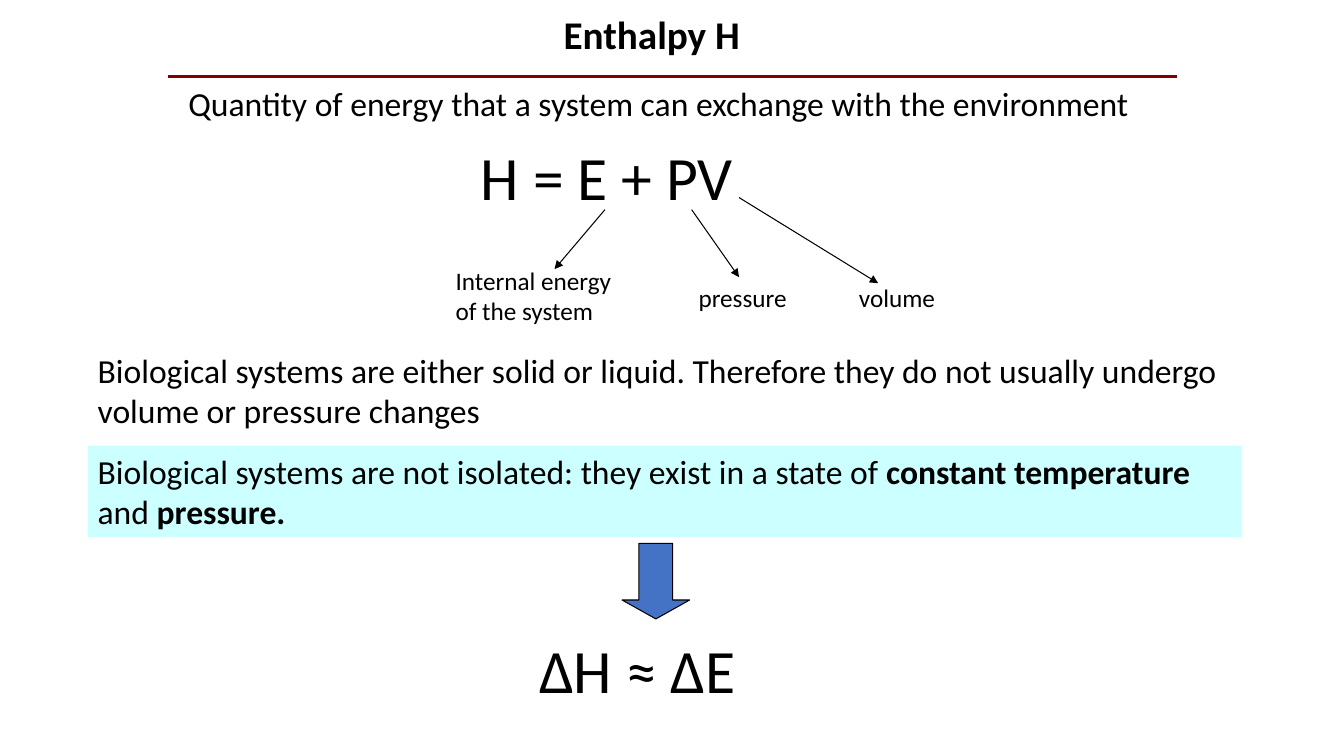
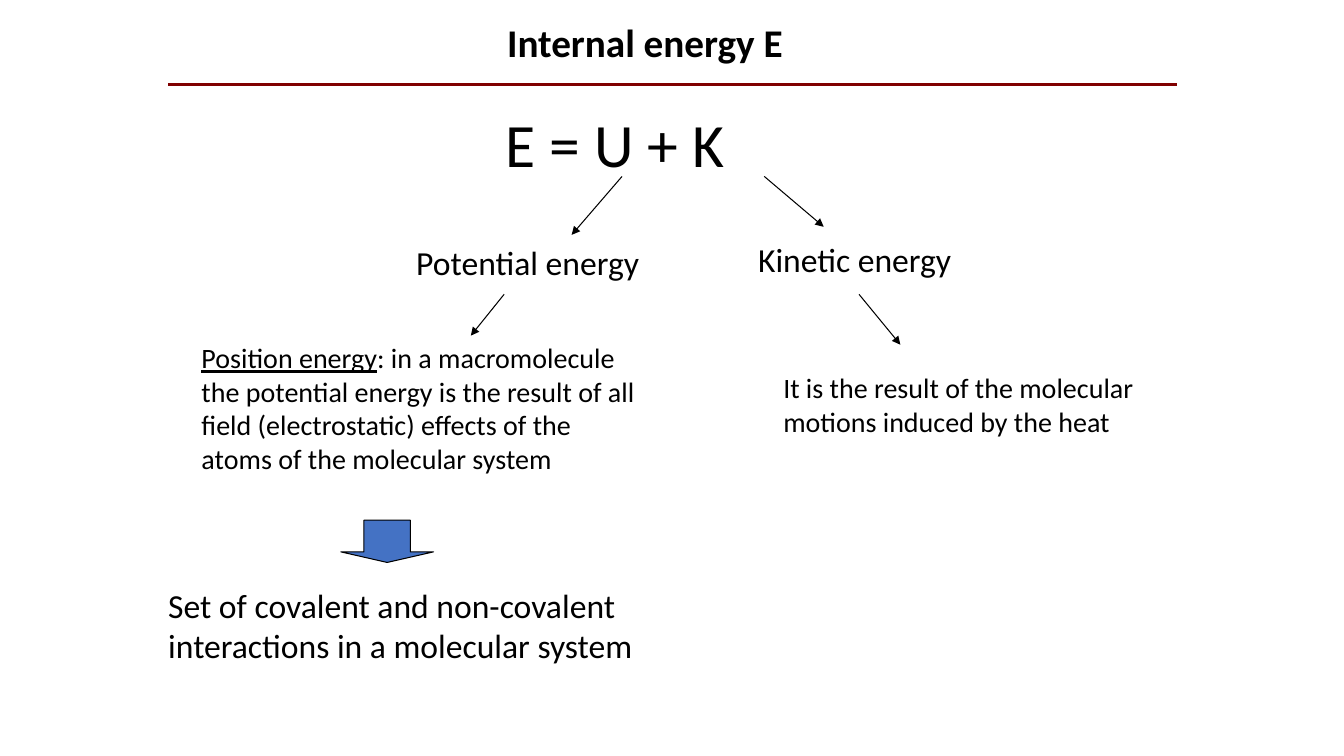
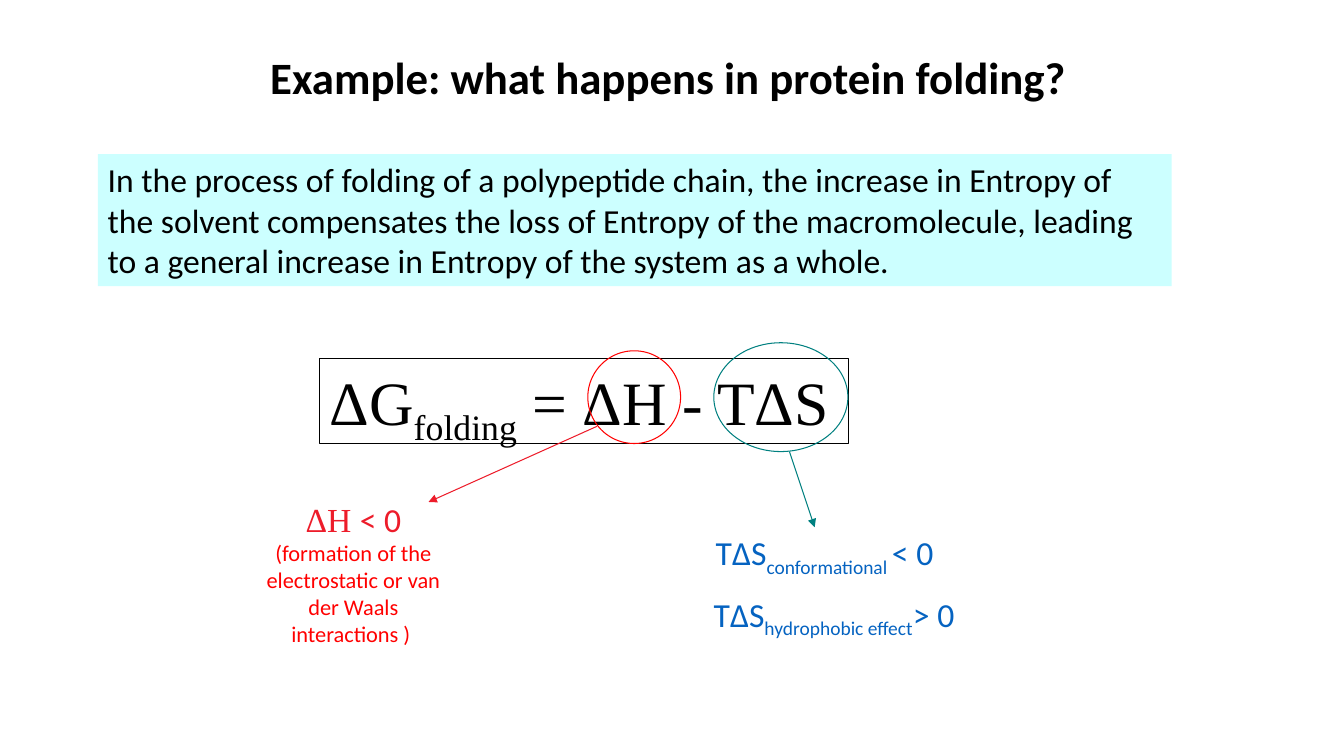
from lxml import etree
from pptx import Presentation
from pptx import util as u
from pptx.dml.color import RGBColor
from pptx.enum import shapes, text
from pptx.oxml import ns

BLACK, MAROON, BLUE, CYAN = "000000", "800000", "4472C4", "CCFFFF"
RED, CRIMSON, TEAL, LINK = "FF0000", "ED1C2A", "008080", "0563C1"
SANS, SERIF = "Calibri", "Times New Roman"
RULE_LEFT, RULE_RIGHT, RULE_DROP = 1.67, 11.67, 0.71
THIN = 0.75

BOLD, UNDERLINED, SUBSCRIPT = {"bold": True}, {"underline": True}, {"subscript": True}

SLIDES = [
    {
        "title": ("Enthalpy H", (5.49, 0.05, 2.08, 0.57), 28),
        "rule": True,
        "texts": [
            (["H = E + PV"], (4.67, 1.33, 2.8, 0.84), {"size": 44, "wrap": False}),
            (["Internal energy", "of the system"], (4.42, 2.58, 2.12, 0.71), {"size": 18}),
            (["pressure"], (6.83, 2.75, 1.09, 0.4), {"size": 18, "wrap": False}),
            (["volume"], (8.42, 2.75, 0.98, 0.4), {"size": 18, "wrap": False}),
            (["Biological systems are either solid or liquid. Therefore they do not usually "
              "undergo volume or pressure changes"], (0.87, 3.42, 11.69, 0.91), {}),
            (["ΔH ≈ ΔE"], (5.25, 6.22, 2.27, 0.84), {"size": 44, "wrap": False}),
            (["Quantity of energy that a system can exchange with the environment"],
             (1.77, 0.77, 9.8, 0.5), {"wrap": False}),
            ([[("Biological systems are not isolated: they exist in a state of", {}),
               (" constant temperature ", BOLD), ("and", {}), (" pressure.", BOLD)]],
             (0.87, 4.42, 11.45, 0.91), {"fill": CYAN}),
        ],
        "arrows": [
            ((6, 2.08), (5.5, 2.67), BLACK),
            ((6.86, 2.08), (7.33, 2.75), BLACK),
            ((7.33, 1.96), (8.71, 2.81), BLACK),
        ],
        "block_arrow": ((6.17, 5.39, 0.67, 0.75), 0.28),
    },
    {
        "title": ("Internal energy E", (4.93, 0.13, 3.09, 0.57), 28),
        "rule": True,
        "texts": [
            (["E = U + K"], (4.92, 1, 2.43, 0.84), {"size": 44, "wrap": False}),
            (["Potential energy"], (4.03, 2.35, 2.92, 0.5), {}),
            (["Kinetic energy"], (7.42, 2.32, 2.21, 0.5), {"wrap": False}),
            ([[("Position energy", UNDERLINED),
               (": in a macromolecule the potential energy is the result of all field "
                "(electrostatic) effects of the atoms of the molecular system", {})]],
             (1.9, 3.33, 4.52, 1.45), {"size": 20}),
            (["It is the result of the molecular motions induced by the heat"],
             (7.67, 3.63, 3.69, 0.77), {"size": 20}),
            (["Set of covalent and non-covalent interactions in a molecular system"],
             (1.57, 5.75, 4.91, 0.91), {}),
        ],
        "arrows": [
            ((6.17, 1.75), (5.67, 2.33), BLACK),
            ((7.58, 1.75), (8.17, 2.25), BLACK),
            ((5, 2.92), (4.67, 3.33), BLACK),
            ((8.52, 2.92), (8.93, 3.42), BLACK),
        ],
        "block_arrow": ((3.38, 5.16, 0.92, 0.42), 0.25),
    },
    {
        "title": ("Example: what happens in protein folding?", (2.58, 0.44, 8.16, 0.64), 32),
        "texts": [
            (["In the process of folding of a polypeptide chain, the increase in Entropy of the "
              "solvent compensates the loss of Entropy of the macromolecule, leading to a general "
              "increase in Entropy of the system as a whole."],
             (0.97, 1.53, 10.65, 1.31), {"fill": CYAN}),
            ([[("ΔG", {}), ("folding", SUBSCRIPT), (" = ΔH - TΔS", {})]],
             (3.17, 3.56, 5.25, 0.84),
             {"size": 44, "font": SERIF, "line": BLACK, "wrap": False}),
            ([[("ΔH ", {"font": SERIF}), ("< 0", {})],
              [("(formation of the electrostatic or van der Waals interactions ) ",
                {"size": 16, "color": RED})]],
             (2.42, 4.9, 2.17, 1.58), {"color": CRIMSON, "align": text.PP_ALIGN.CENTER}),
            ([[("TΔS", {}), ("conformational ", SUBSCRIPT), ("< 0", {})]],
             (7, 5.23, 2.58, 0.5), {"color": LINK, "wrap": False}),
            ([[("TΔS", {}), ("hydrophobic effect", SUBSCRIPT), ("> 0", {})]],
             (6.98, 5.84, 2.85, 0.5), {"color": LINK, "wrap": False}),
        ],
        "ellipses": [((5.83, 3.48, 0.92, 0.92), RED), ((7.08, 3.4, 1.33, 1.08), TEAL)],
        "arrows": [
            ((5.92, 4.23), (4.25, 4.98), CRIMSON),
            ((7.83, 4.48), (8.08, 5.23), TEAL),
        ],
    },
]


def rgb(value):
    return RGBColor.from_string(value)


def inches(values):
    return [u.Inches(value) for value in values]


def format_span(span, size=24, font=SANS, color=BLACK, bold=False, underline=False,
                subscript=False):
    span.font.size = u.Pt(size)
    span.font.name = font
    span.font.color.rgb = rgb(color)
    span.font.bold = bold
    span.font.underline = underline
    if subscript:
        span._r.get_or_add_rPr().set("baseline", "-25000")


def write(box, paragraphs, wrap=True, align=text.PP_ALIGN.LEFT, **style):
    frame = box.text_frame
    frame.word_wrap = wrap
    frame.auto_size = text.MSO_AUTO_SIZE.NONE
    frame.vertical_anchor = text.MSO_ANCHOR.TOP
    for index, content in enumerate(paragraphs):
        para = frame.paragraphs[0] if index == 0 else frame.add_paragraph()
        para.alignment = align
        spans = [(content, {})] if isinstance(content, str) else content
        for words, change in spans:
            span = para.add_run()
            span.text = words
            format_span(span, **{**style, **change})


def add_shape(page, kind, place, fill=None, line=None):
    shape = page.shapes.add_shape(kind, *inches(place))
    shape.shadow.inherit = False
    if fill:
        shape.fill.solid()
        shape.fill.fore_color.rgb = rgb(fill)
    else:
        shape.fill.background()
    if line:
        shape.line.color.rgb = rgb(line)
        shape.line.width = u.Pt(THIN)
    else:
        shape.line.fill.background()
    return shape


def add_text(page, paragraphs, place, fill=None, line=None, **style):
    if fill or line:
        box = add_shape(page, shapes.MSO_SHAPE.RECTANGLE, place, fill, line)
    else:
        box = page.shapes.add_textbox(*inches(place))
    write(box, paragraphs, **style)


def add_line(page, start, end, color, width=THIN, arrow=True):
    line = page.shapes.add_connector(shapes.MSO_CONNECTOR.STRAIGHT, *inches(start + end))
    line.line.color.rgb = rgb(color)
    line.line.width = u.Pt(width)
    if arrow:
        etree.SubElement(line.line._get_or_add_ln(), ns.qn("a:tailEnd"), type="triangle")
    etree.SubElement(line._element.spPr, ns.qn("a:effectLst"))


def add_title(page, words, place, size):
    title = page.shapes.title
    title.left, title.top, title.width, title.height = inches(place)
    write(title, [words], wrap=False, size=size, bold=True)


def build(deck, content):
    page = deck.slides.add_slide(deck.slide_layouts[5])
    add_title(page, *content["title"])
    if content.get("rule"):
        height = content["title"][1][1] + RULE_DROP
        add_line(page, (RULE_LEFT, height), (RULE_RIGHT, height), MAROON, width=2, arrow=False)
    for paragraphs, place, style in content["texts"]:
        add_text(page, paragraphs, place, **style)
    for place, color in content.get("ellipses", []):
        add_shape(page, shapes.MSO_SHAPE.OVAL, place, line=color)
    for start, end, color in content["arrows"]:
        add_line(page, start, end, color)
    if "block_arrow" in content:
        place, head = content["block_arrow"]
        arrow = add_shape(page, shapes.MSO_SHAPE.DOWN_ARROW, place, BLUE, BLACK)
        arrow.adjustments[1] = head


def main():
    deck = Presentation()
    deck.slide_width, deck.slide_height = inches((13.33, 7.5))
    for content in SLIDES:
        build(deck, content)
    deck.save("out.pptx")


if __name__ == "__main__":
    main()
